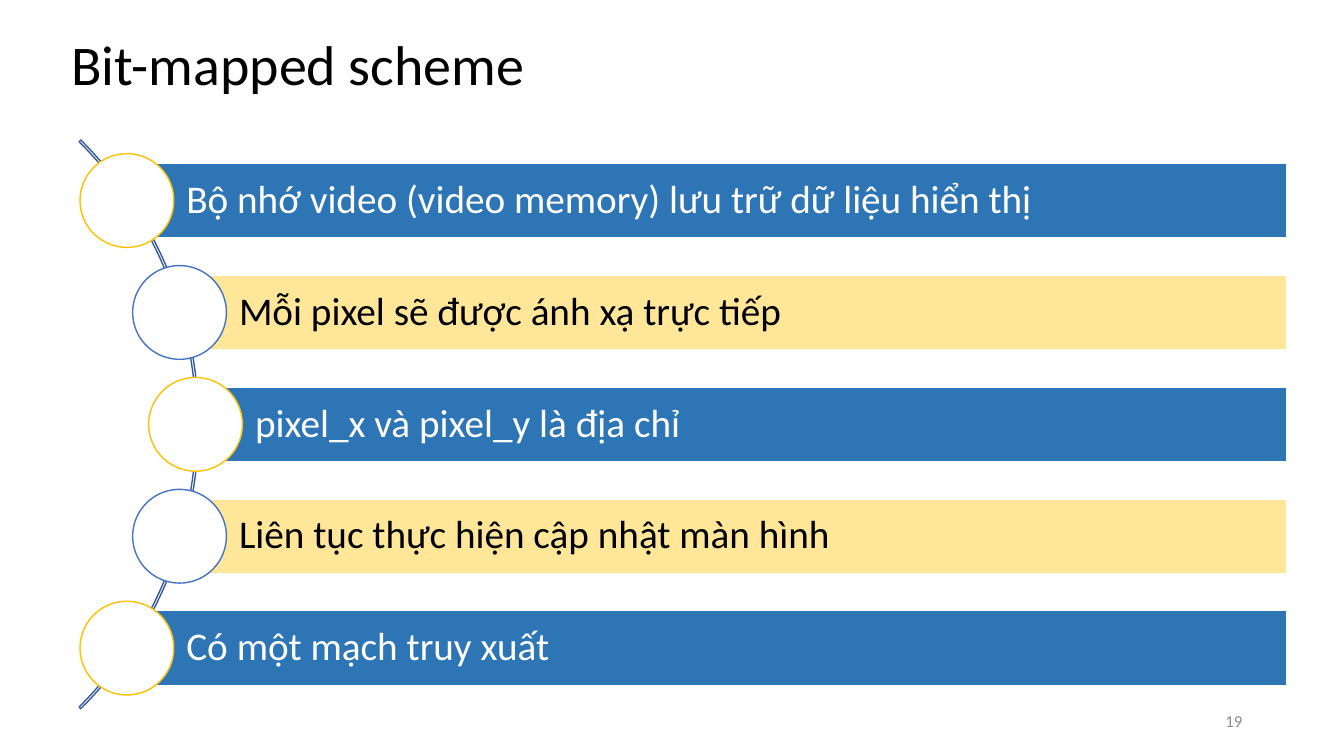
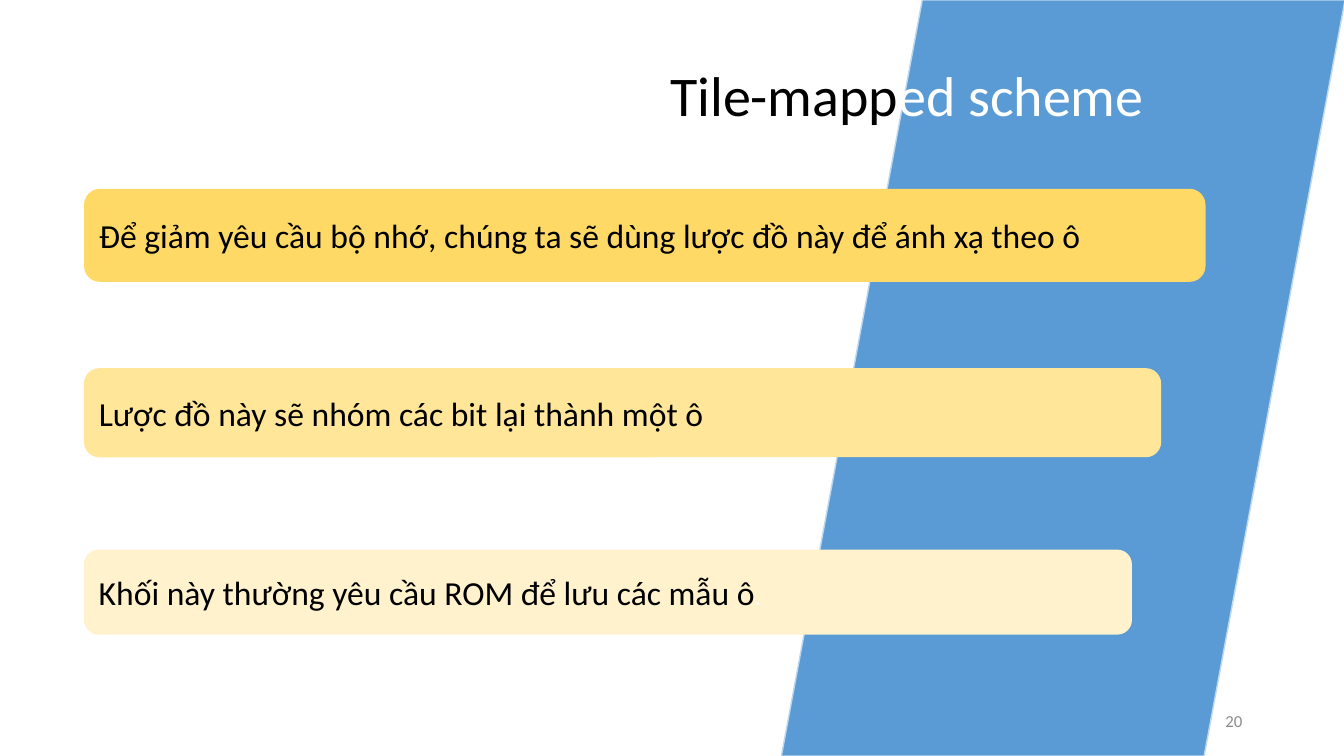
from math import sqrt

from pptx import Presentation
from pptx.dml.color import RGBColor
from pptx.enum.shapes import MSO_SHAPE
from pptx.enum.text import MSO_ANCHOR, MSO_AUTO_SIZE, PP_ALIGN
from pptx.util import Inches, Pt

FONT = "Calibri"
BLACK = RGBColor(0x00, 0x00, 0x00)
WHITE = RGBColor(0xFF, 0xFF, 0xFF)
GREY = RGBColor(0x8C, 0x8C, 0x8C)
BLUE = RGBColor(0x2E, 0x75, 0xB6)
ARC_BLUE = RGBColor(0x36, 0x5B, 0x9D)
RING_BLUE = RGBColor(0x44, 0x72, 0xC4)
BAND_BLUE = RGBColor(0x5B, 0x9B, 0xD5)
BAND_EDGE = RGBColor(0xBD, 0xD7, 0xEE)
AMBER = RGBColor(0xFF, 0xC0, 0x00)
GOLD = RGBColor(0xFF, 0xD9, 0x66)
SAND = RGBColor(0xFF, 0xE6, 0x99)
CREAM = RGBColor(0xFF, 0xF2, 0xCC)

ARC_CENTER_X, ARC_CENTER_Y = -2.02, 4.21
ARC_SIZE, ARC_RADIUS = 7.98, 3.96
BAR_HEIGHT, BAR_PITCH, BAR_RIGHT = 0.74, 1.11, 12.76
RING_SIZE = 0.93
BAR_STYLES = [(BLUE, WHITE, AMBER), (SAND, BLACK, RING_BLUE)]


def place(shape, left, top, width, height):
    shape.left, shape.top = Inches(left), Inches(top)
    shape.width, shape.height = Inches(width), Inches(height)


def write_spans(frame, spans, align, anchor):
    frame.word_wrap = True
    frame.auto_size = MSO_AUTO_SIZE.NONE
    frame.vertical_anchor = anchor
    para = frame.paragraphs[0]
    para.alignment = align
    for text, size, color in spans:
        span = para.add_run()
        span.text = text
        span.font.name = FONT
        span.font.size = Pt(size)
        span.font.color.rgb = color


def add_outlined_shape(page, kind, box, fill, line):
    shape = page.shapes.add_shape(kind, *[Inches(length) for length in box])
    shape.shadow.inherit = False
    if fill is None:
        shape.fill.background()
    else:
        shape.fill.solid()
        shape.fill.fore_color.rgb = fill
    shape.line.color.rgb = line
    shape.line.width = Pt(1)
    return shape


def add_page(deck, title_box, title_spans, number):
    page = deck.slides.add_slide(deck.slide_layouts.get_by_name("Title Only"))
    title = page.shapes.title
    place(title, *title_box)
    spans = [(text, 40, color) for text, color in title_spans]
    write_spans(title.text_frame, spans, PP_ALIGN.CENTER, MSO_ANCHOR.TOP)
    number_box = page.shapes.add_textbox(
        Inches(9.42), Inches(6.95), Inches(3), Inches(0.4))
    write_spans(number_box.text_frame, [(str(number), 12, GREY)],
                PP_ALIGN.RIGHT, MSO_ANCHOR.MIDDLE)
    return page


def add_arc(page):
    radius = ARC_SIZE / 2
    box = (ARC_CENTER_X - radius, ARC_CENTER_Y - radius, ARC_SIZE, ARC_SIZE)
    arc = add_outlined_shape(page, MSO_SHAPE.BLOCK_ARC, box, None, ARC_BLUE)
    for index, value in enumerate((189, 27, 0.003)):
        arc.adjustments[index] = value


def add_ringed_bar(page, offset, text, style):
    fill, text_color, ring_color = style
    center_x = ARC_CENTER_X + sqrt(ARC_RADIUS ** 2 - offset ** 2)
    center_y = ARC_CENTER_Y + offset
    bar_box = (center_x, center_y - BAR_HEIGHT / 2,
               BAR_RIGHT - center_x, BAR_HEIGHT)
    bar = add_outlined_shape(page, MSO_SHAPE.RECTANGLE, bar_box, fill, WHITE)
    frame = bar.text_frame
    frame.margin_left = Inches(0.59)
    frame.margin_top = frame.margin_right = frame.margin_bottom = Inches(0.08)
    write_spans(frame, [(text, 28, text_color)], PP_ALIGN.LEFT, MSO_ANCHOR.MIDDLE)
    frame.paragraphs[0].line_spacing = 0.9
    ring_box = (center_x - RING_SIZE / 2, center_y - RING_SIZE / 2,
                RING_SIZE, RING_SIZE)
    add_outlined_shape(page, MSO_SHAPE.OVAL, ring_box, WHITE, ring_color)


def add_card(page, top, width, height, fill, spans):
    card = add_outlined_shape(page, MSO_SHAPE.ROUNDED_RECTANGLE,
                              (0.84, top, width, height), fill, fill)
    write_spans(card.text_frame, spans, PP_ALIGN.LEFT, MSO_ANCHOR.MIDDLE)


def build_bit_mapped(deck):
    page = add_page(deck, (0, 0.24, 5.91, 0.77),
                    [("Bit-mapped scheme", BLACK)], 19)
    add_arc(page)
    points = [
        "Bộ nhớ video (video memory) lưu trữ dữ liệu hiển thị",
        "Mỗi pixel sẽ được ánh xạ trực tiếp",
        "pixel_x và pixel_y là địa chỉ",
        "Liên tục thực hiện cập nhật màn hình",
        "Có một mạch truy xuất",
    ]
    for index, text in enumerate(points):
        offset = (index - len(points) // 2) * BAR_PITCH
        add_ringed_bar(page, offset, text, BAR_STYLES[index % 2])


def build_tile_mapped(deck):
    page = add_page(deck, (5.96, 0.55, 6.07, 0.77),
                    [("Tile-mapp", BLACK), ("ed scheme", WHITE)], 20)
    band = add_outlined_shape(page, MSO_SHAPE.PARALLELOGRAM,
                              (7.75, 0, 5.59, 7.5), BAND_BLUE, BAND_EDGE)
    page.shapes.title.element.addprevious(band.element)
    cards = [
        (1.88, 11.11, 0.91, GOLD,
         [("Để giảm yêu cầu bộ nhớ, chúng ta sẽ dùng lược đồ này để ánh xạ theo ô",
           24, BLACK)]),
        (3.66, 10.67, 0.87, SAND,
         [("Lược đồ này sẽ nhóm các bit lại thành một ô", 24, BLACK)]),
        (5.46, 10.38, 0.83, CREAM,
         [("Khối này thường yêu cầu ROM để lưu các mẫu ô", 24, BLACK),
          (".", 18, WHITE)]),
    ]
    for card in cards:
        add_card(page, *card)


def main():
    deck = Presentation()
    deck.slide_width, deck.slide_height = Inches(13.33), Inches(7.5)
    build_bit_mapped(deck)
    build_tile_mapped(deck)
    deck.save("out.pptx")


if __name__ == "__main__":
    main()
